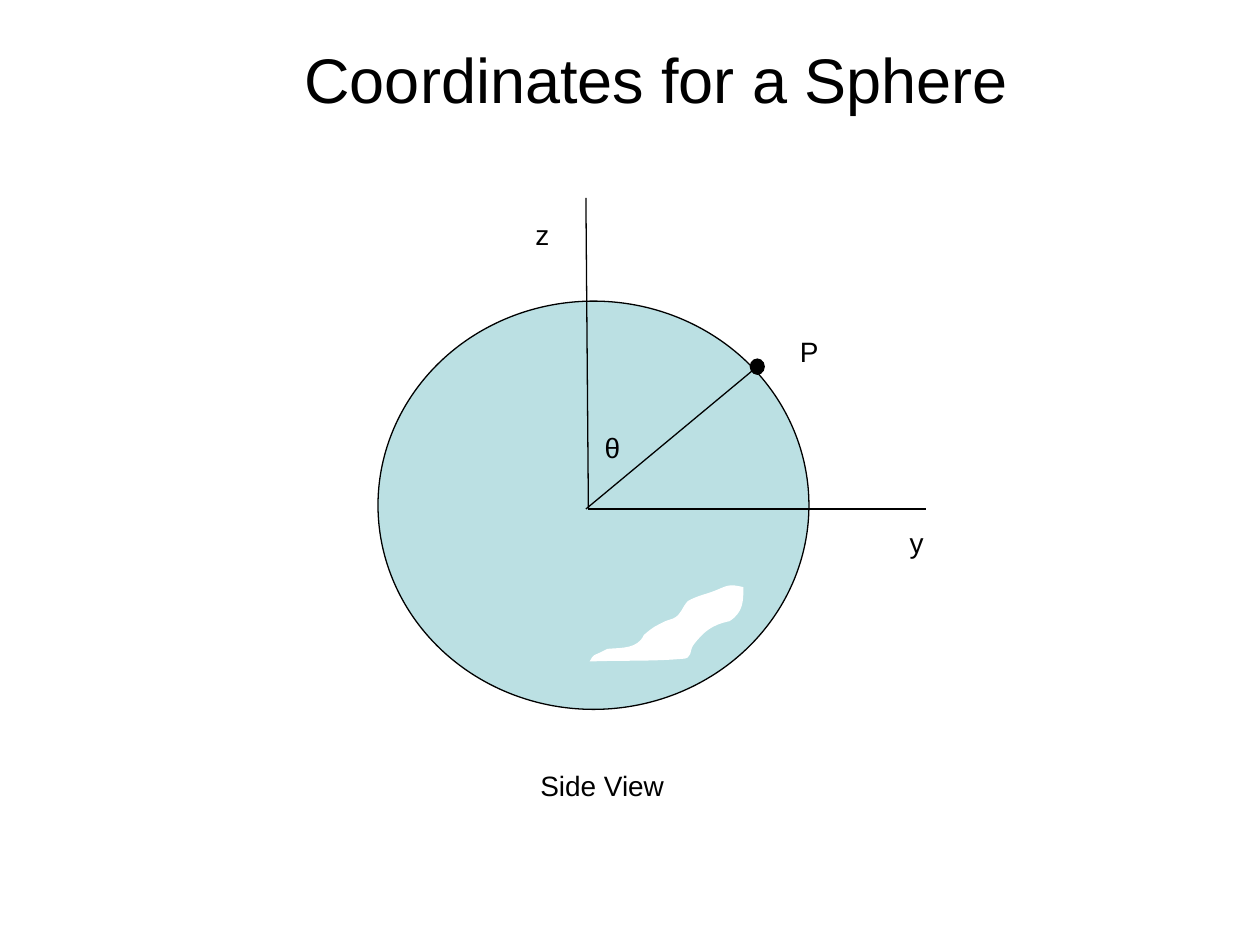
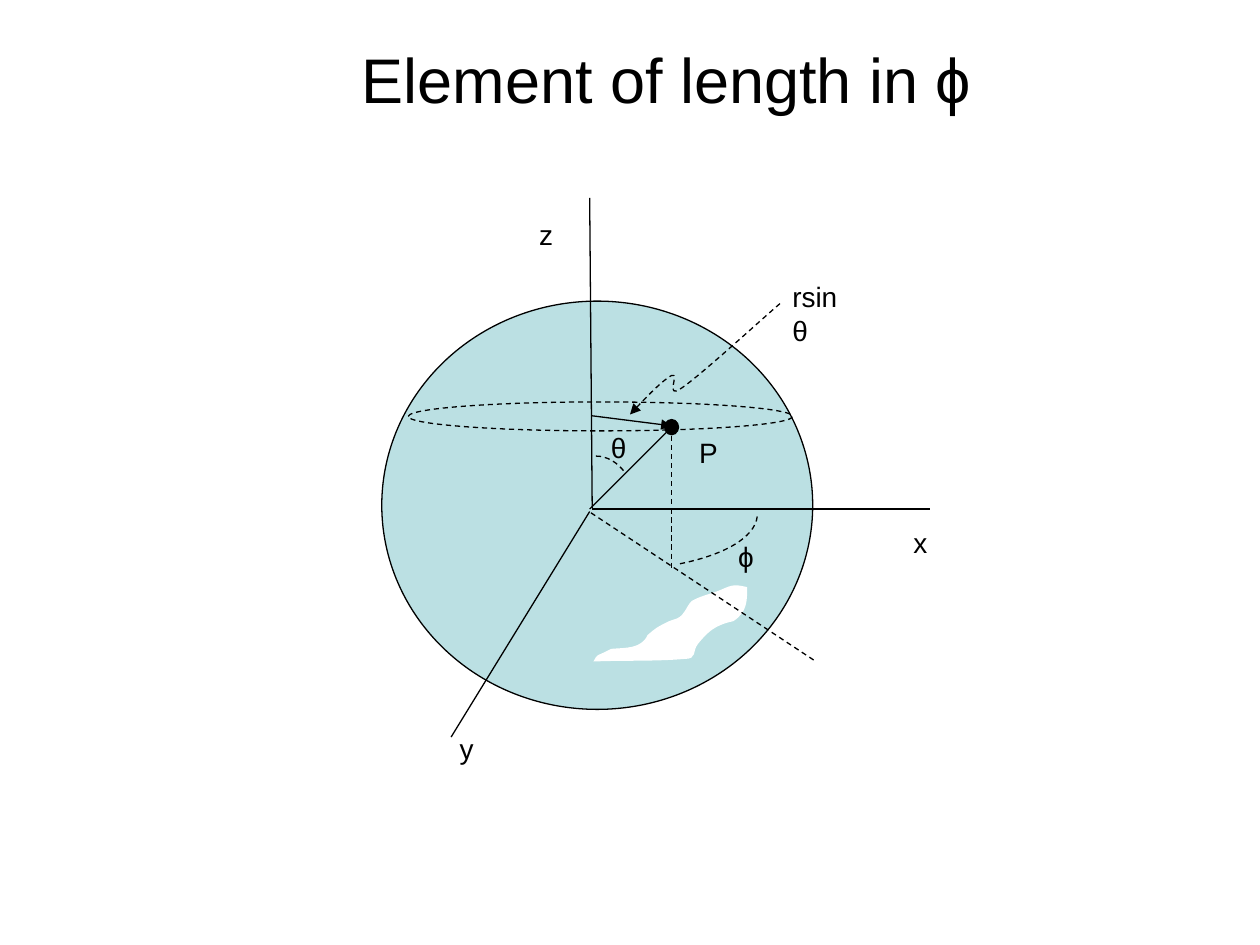
from copy import deepcopy
from dataclasses import dataclass

from lxml.etree import SubElement
from pptx import Presentation
from pptx.dml.color import RGBColor
from pptx.enum.dml import MSO_LINE
from pptx.enum.shapes import MSO_CONNECTOR, MSO_SHAPE
from pptx.enum.text import MSO_ANCHOR, MSO_AUTO_SIZE, PP_ALIGN
from pptx.oxml.ns import qn
from pptx.util import Inches, Pt


@dataclass(frozen=True)
class Theme:
    font: str = "Arial"
    ink: str = "000000"
    globe: str = "BBE0E3"
    land: str = "FFFFFF"
    title_pt: int = 36
    label_pt: int = 16
    line_pt: float = 0.75


T = Theme()
WIDTH, HEIGHT = 10, 7.5
TITLE_SIZE = (7.08, 1.25)
LABEL_HEIGHT = 0.37
DOT = (0.11, 0.12)

# Globe parts common to both slides, in inches; slide 2 shifts them right.
GLOBE = (3, 2.39, 3.42, 3.24)
Z_AXIS = ((4.65, 1.57), (4.67, 4.03))
ACROSS_AXIS = ((4.67, 4.04), (7.35, 4.04))
CENTRE = (4.65, 4.04)

# A curve is a start point, then cubic pieces (control, control, end).
LAND = [(4.68, 5.25),
        (4.92, 5.24, 5.16, 5.25, 5.4, 5.23), (5.51, 5.23, 5.46, 5.17, 5.51, 5.11),
        (5.59, 5.01, 5.65, 4.96, 5.79, 4.93), (5.9, 4.86, 5.9, 4.77, 5.9, 4.66),
        (5.78, 4.63, 5.77, 4.65, 5.67, 4.69), (5.59, 4.72, 5.53, 4.73, 5.46, 4.77),
        (5.41, 4.82, 5.41, 4.88, 5.34, 4.91), (5.32, 4.92, 5.3, 4.92, 5.28, 4.93),
        (5.18, 4.98, 5.18, 4.98, 5.11, 5.04), (5.06, 5.15, 4.94, 5.14, 4.82, 5.15),
        (4.69, 5.22, 4.72, 5.18, 4.68, 5.25)]
THETA_ARC = [(4.73, 3.62), (4.82, 3.62, 4.9, 3.67, 4.96, 3.75)]
PHI_ARC = [(6.01, 4.1), (5.99, 4.27, 5.74, 4.41, 5.37, 4.48)]
ARCS = [(THETA_ARC, (4.71, 4.12)), (PHI_ARC, (4.97, 4.08))]  # arc, hub
RADIUS_POINTER = [(5, 3.29), (5.13, 3.15, 5.26, 3.02, 5.33, 2.98),
                  (5.4, 2.95, 5.27, 3.18, 5.41, 3.08),
                  (5.56, 2.98, 6.06, 2.52, 6.19, 2.41)]
LATITUDE = (3.24, 3.19, 3.05, 0.23)

# Labels: text, left, top, width
SIDE_LABELS = [("P", 6.25, 2.61, 0.35), ("θ", 4.7, 3.37, 0.32), ("z", 4.15, 1.68, 0.31),
               ("y", 7.12, 4.12, 0.31), ("Side View", 4.19, 6.05, 1.19)]
PHI_LABELS = [("P", 5.45, 3.41, 0.35), ("θ", 4.75, 3.37, 0.32), ("z", 4.18, 1.68, 0.31),
              ("x", 7.15, 4.12, 0.31), ("y", 3.55, 5.76, 0.31), ("ϕ", 5.76, 4.23, 0.34)]


def style_line(line, dashed=False, arrow=None):
    """Ink the line; arrow is 'headEnd' (start) or 'tailEnd' (finish)."""
    line.color.rgb = RGBColor.from_string(T.ink)
    line.width = Pt(T.line_pt)
    if dashed:
        line.dash_style = MSO_LINE.DASH
    if arrow:
        SubElement(line._get_or_add_ln(), qn(f"a:{arrow}"), type="triangle")


def style_fill(sp, color):
    sp.shadow.inherit = False
    if color:
        sp.fill.solid()
        sp.fill.fore_color.rgb = RGBColor.from_string(color)
    else:
        sp.fill.background()


def write(tf, text, size, align=PP_ALIGN.LEFT):
    p = tf.paragraphs[0]
    p.alignment = align
    r = p.add_run()
    r.text = text
    r.font.name, r.font.size = T.font, Pt(size)
    r.font.color.rgb = RGBColor.from_string(T.ink)


def add_label(shapes, text, left, top, width, wrap=False):
    tf = shapes.add_textbox(*map(Inches, (left, top, width, LABEL_HEIGHT))).text_frame
    tf.word_wrap = wrap
    tf.auto_size = MSO_AUTO_SIZE.SHAPE_TO_FIT_TEXT
    write(tf, text, T.label_pt)


def add_line(shapes, start, end, **fmt):
    cx = shapes.add_connector(MSO_CONNECTOR.STRAIGHT, *map(Inches, (*start, *end)))
    style_line(cx.line, **fmt)
    SubElement(cx._element.spPr, qn("a:effectLst"))


def add_ellipse(shapes, box, color=None, dashed=False):
    sp = shapes.add_shape(MSO_SHAPE.OVAL, *map(Inches, box))
    style_fill(sp, color)
    style_line(sp.line, dashed)


def bend(segments):
    """Turn each three straight segments into one cubic piece."""
    for first, second, third in zip(*[iter(segments)] * 3):
        first.tag = qn("a:cubicBezTo")
        for seg in (second, third):
            first.append(seg[0])
            seg.getparent().remove(seg)


def add_curve(shapes, curve, color=None, dx=0, hub=None, **fmt):
    """Draw a filled outline if color is given, else a stroke.

    A hub adds an unstroked sector between the curve and that point.
    """
    pairs = [curve[0]] + [piece[i:i + 2] for piece in curve[1:] for i in (0, 2, 4)]
    points = [(Inches(x + dx), Inches(y)) for x, y in pairs + ([hub] if hub else [])]
    fb = shapes.build_freeform(*points[0])
    fb.add_line_segments(points[1:], close=bool(color))
    sp = fb.convert_to_shape()
    path = sp._element.spPr.find(".//" + qn("a:path"))
    bend(path.findall(qn("a:lnTo"))[:len(pairs) - 1])
    if hub:
        sector = deepcopy(path)
        sector.set("stroke", "0")
        SubElement(sector, qn("a:close"))
        path.addnext(sector)
        path.set("fill", "none")
        path.remove(path.find(qn("a:lnTo")))
    style_fill(sp, color)
    if color:
        sp.line.fill.background()
    else:
        style_line(sp.line, **fmt)


def add_globe(shapes, point, dx=0):
    """Draw the globe, two axes, land, and the radius to a dotted point."""
    def shift(xy):
        return xy[0] + dx, xy[1]

    add_ellipse(shapes, (*shift(GLOBE[:2]), *GLOBE[2:]), T.globe)
    for start, end in (Z_AXIS, ACROSS_AXIS):
        add_line(shapes, shift(start), shift(end))
    add_curve(shapes, LAND, T.land, dx)
    add_line(shapes, shift(CENTRE), point)
    add_ellipse(shapes, (point[0] - DOT[0] / 2, point[1] - DOT[1] / 2, *DOT), T.ink)


def add_titled_slide(prs, title, left):
    s = prs.slides.add_slide(prs.slide_layouts[5])
    sp = s.shapes.title
    sp.left, sp.top = Inches(left), 0
    sp.width, sp.height = map(Inches, TITLE_SIZE)
    sp.text_frame.vertical_anchor = MSO_ANCHOR.MIDDLE
    write(sp.text_frame, title, T.title_pt, PP_ALIGN.CENTER)
    return s


def add_side_view(prs):
    shapes = add_titled_slide(prs, "Coordinates for a Sphere", 1.67).shapes
    add_globe(shapes, (6.01, 2.91))
    for label in SIDE_LABELS:
        add_label(shapes, *label)


def add_phi_view(prs):
    s = add_titled_slide(prs, "Element of length in ϕ", 1.75)
    shapes = s.shapes.add_group_shape().shapes
    point = (5.33, 3.39)
    add_globe(shapes, point, dx=0.03)
    add_line(shapes, (4.68, 4.06), (3.58, 5.85))
    for label in PHI_LABELS:
        add_label(shapes, *label)
    add_line(shapes, (4.69, 4.07), (6.46, 5.24), dashed=True)
    add_line(shapes, point, (point[0], 4.53), dashed=True)
    for arc, hub in ARCS:
        add_curve(shapes, arc, hub=hub, dashed=True)
    add_ellipse(shapes, LATITUDE, dashed=True)
    add_line(shapes, (4.7, 3.3), (point[0], 3.38), arrow="tailEnd")
    add_curve(shapes, RADIUS_POINTER, dashed=True, arrow="headEnd")
    add_label(shapes, "rsinθ", 6.19, 2.17, 0.67, wrap=True)


def main():
    prs = Presentation()
    prs.slide_width, prs.slide_height = Inches(WIDTH), Inches(HEIGHT)
    add_side_view(prs)
    add_phi_view(prs)
    prs.save("out.pptx")


if __name__ == "__main__":
    main()
